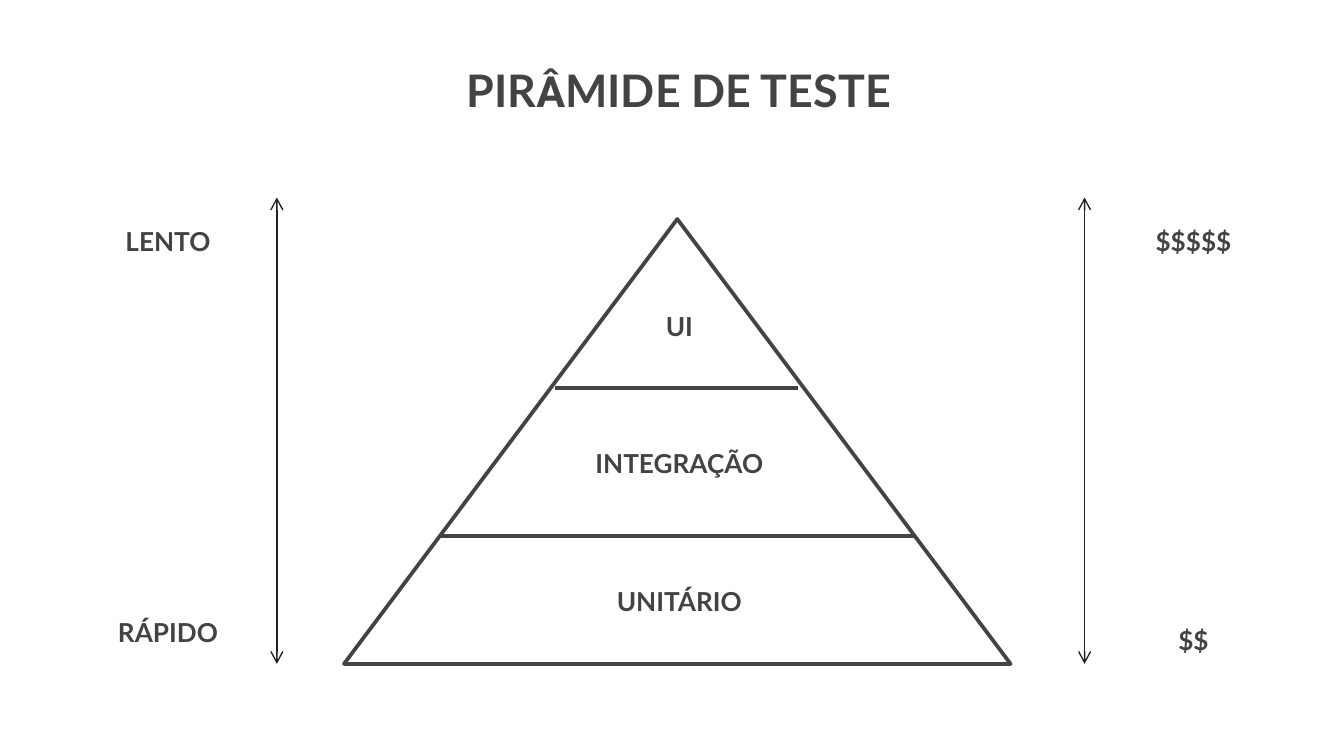
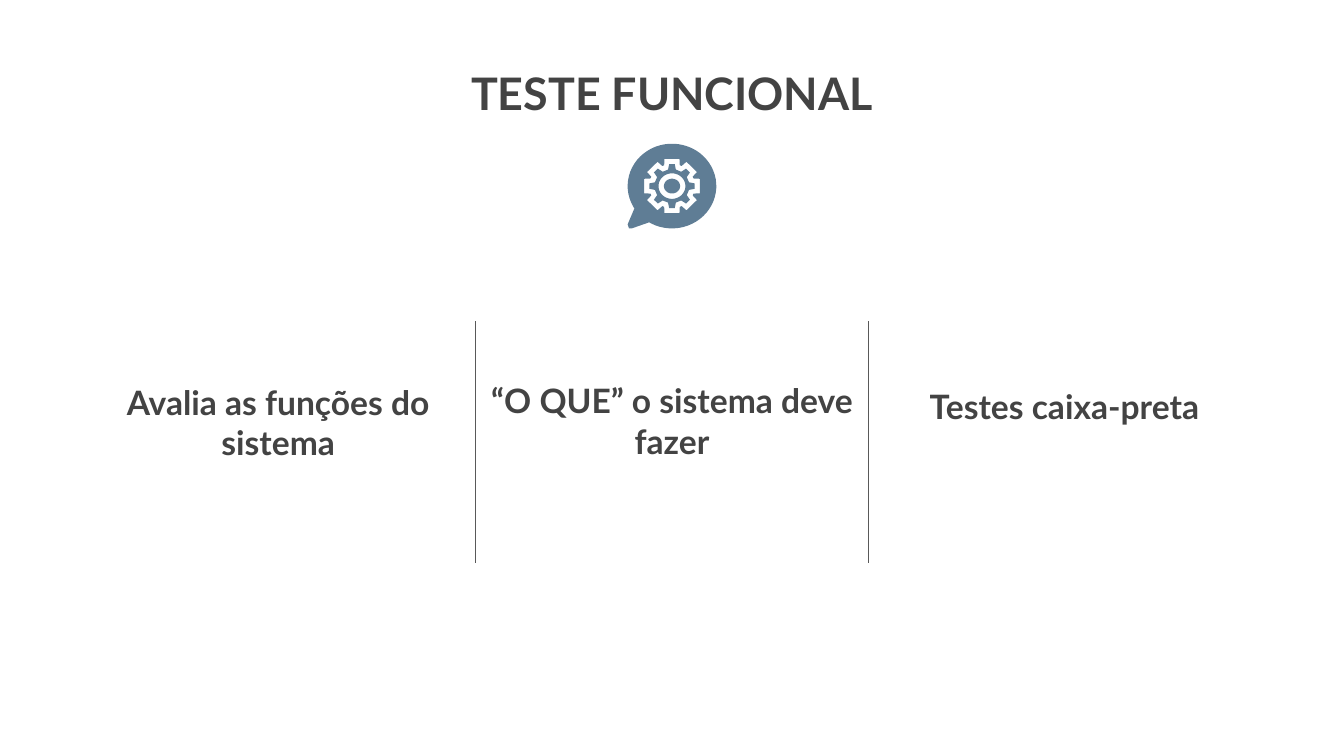
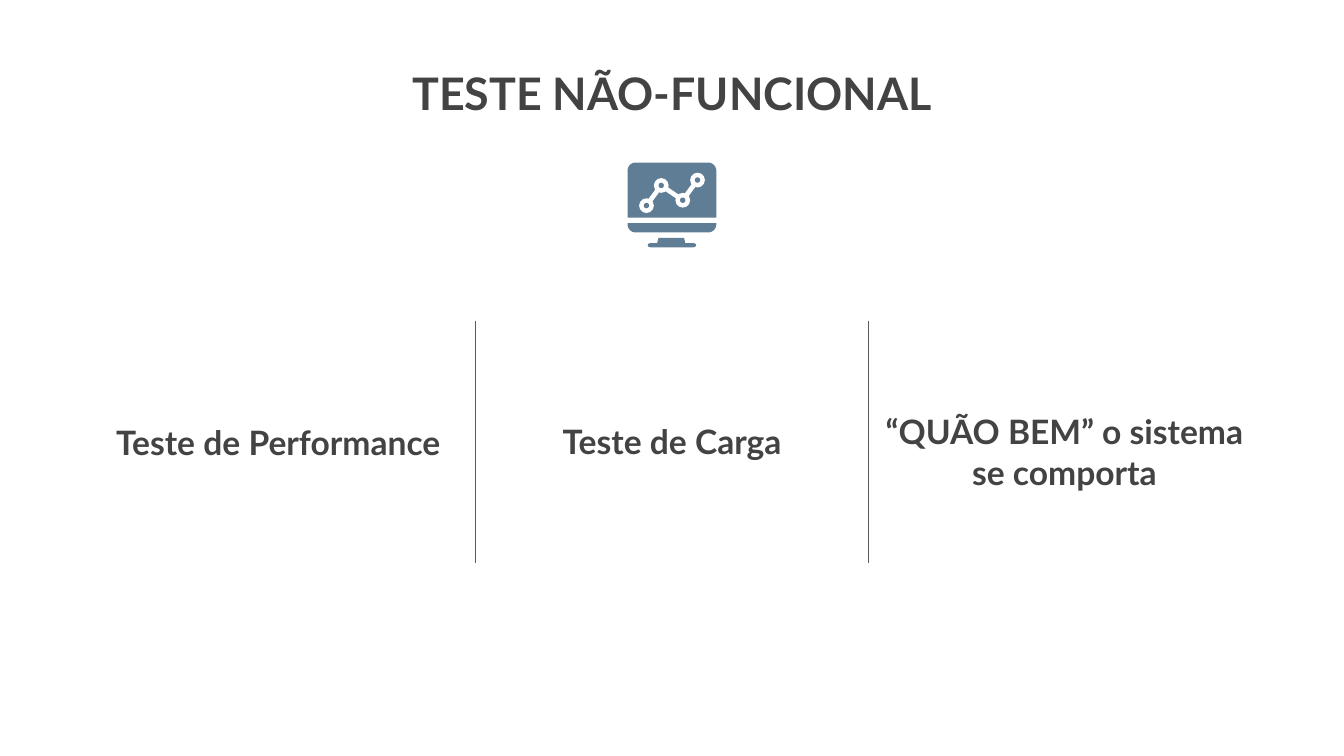
import math

import pptx
import pptx.dml.color
import pptx.enum.shapes
import pptx.enum.text
import pptx.oxml.ns
import pptx.util
from lxml import etree

Inches = pptx.util.Inches
Pt = pptx.util.Pt
ANCHOR = pptx.enum.text.MSO_ANCHOR
AUTO_SIZE = pptx.enum.text.MSO_AUTO_SIZE
SHAPE = pptx.enum.shapes.MSO_SHAPE

COLORS = {
    "text": "434343",
    "arrow": "212121",
    "divider": "595959",
    "icon": "5F7D95",
    "white": "FFFFFF",
}
FONT = "Lato"
TITLE_SIZE = 24
COLUMN_LEFTS = (0.61, 3.54, 6.46)
COLUMN_WIDTH = 2.92
ICON_CENTER_X = 5
GEAR_CENTER_Y = 1.385


def color(name):
    return pptx.dml.color.RGBColor.from_string(COLORS[name])


def style_font(font, size, name=FONT):
    font.name = name
    font.size = Pt(size)
    font.bold = True
    font.color.rgb = color("text")


def add_drawing_element(parent, tag, **attributes):
    return etree.SubElement(parent, pptx.oxml.ns.qn(tag), attributes)


def place(shape, left, top, width, height):
    shape.left, shape.top = Inches(left), Inches(top)
    shape.width, shape.height = Inches(width), Inches(height)


def format_frame(frame, anchor, auto_size, vertical_margin):
    frame.word_wrap = True
    frame.auto_size = auto_size
    frame.vertical_anchor = anchor
    frame.margin_left = frame.margin_right = Inches(0.1)
    frame.margin_top = frame.margin_bottom = Inches(vertical_margin)
    paragraph = frame.paragraphs[0]
    paragraph.alignment = pptx.enum.text.PP_ALIGN.CENTER
    return paragraph


def add_titled_slide(presentation, runs, left=2.15, top=0.39):
    """Add a slide whose title is made of (text, font name, size) runs."""
    slide = presentation.slides.add_slide(presentation.slide_layouts[5])
    title = slide.shapes.title
    place(title, left, top, 5.7, 1.03)
    paragraph = format_frame(title.text_frame, ANCHOR.TOP, AUTO_SIZE.NONE, 0.1)
    for text, name, size in runs:
        run = paragraph.add_run()
        run.text = text
        style_font(run.font, size, name)
    return slide


def add_text(slide, text, left, top, width, height, size, anchor, auto_size, margin):
    box = slide.shapes.add_textbox(
        Inches(left), Inches(top), Inches(width), Inches(height))
    paragraph = format_frame(box.text_frame, anchor, auto_size, margin)
    paragraph.text = text
    style_font(paragraph.font, size)


def add_label(slide, text, left, top, width):
    add_text(slide, text, left, top, width, 0.34, 14,
             ANCHOR.TOP, AUTO_SIZE.SHAPE_TO_FIT_TEXT, 0.05)


def add_line(slide, start, end, color_name, width, arrows=False):
    line = slide.shapes.add_connector(
        pptx.enum.shapes.MSO_CONNECTOR.STRAIGHT,
        *(Inches(value) for value in (*start, *end)))
    line.line.color.rgb = color(color_name)
    line.line.width = Pt(width)
    if arrows:
        for tag in ("a:headEnd", "a:tailEnd"):
            add_drawing_element(line.line._get_or_add_ln(), tag, type="arrow")
    add_drawing_element(line._element.spPr, "a:effectLst")


def fill_plain(shape, color_name):
    shape.shadow.inherit = False
    shape.fill.solid()
    shape.fill.fore_color.rgb = color(color_name)
    shape.line.fill.background()


def add_disc(slide, center, radius, color_name):
    x, y = center
    disc = slide.shapes.add_shape(
        SHAPE.OVAL, Inches(x - radius), Inches(y - radius),
        Inches(2 * radius), Inches(2 * radius))
    fill_plain(disc, color_name)


def arc(center_x, center_y, radius_x, radius_y, start=0, end=360):
    """Points along an elliptical arc, angles in degrees clockwise from the right."""
    steps = max(6, round((end - start) / 6))
    angles = [math.radians(start + (end - start) * step / steps)
              for step in range(steps + 1)]
    return [(center_x + radius_x * math.cos(angle), center_y + radius_y * math.sin(angle))
            for angle in angles]


def gear(tip_radius, root_radius, tip_angle, root_angle):
    """Points of an eight-toothed gear; the angles are half tooth widths."""
    points = []
    for tooth in range(0, 360, 45):
        for radius, offset in ((root_radius, -root_angle), (tip_radius, -tip_angle),
                               (tip_radius, tip_angle), (root_radius, root_angle)):
            angle = math.radians(tooth + offset)
            points.append((ICON_CENTER_X + radius * math.cos(angle),
                           GEAR_CENTER_Y + 0.97 * radius * math.sin(angle)))
    return points


def add_outline(slide, *contours):
    """Draw the first contour as a filled outline, later ones as holes in it."""
    builder = None
    for contour in contours:
        first, *others = [(Inches(x), Inches(y)) for x, y in contour]
        if builder is None:
            builder = slide.shapes.build_freeform(*first)
        else:
            builder.move_to(*first)
        builder.add_line_segments(others, close=True)
    fill_plain(builder.convert_to_shape(), "icon")


def add_gear_bubble(slide):
    tail = [(4.67, 1.67), (4.68, 1.7), (4.7, 1.7)]
    bubble = arc(ICON_CENTER_X, GEAR_CENTER_Y, 0.33, 0.315, 121 - 360, 148)
    add_outline(slide, gear(0.17, 0.13, 7, 13),
                arc(ICON_CENTER_X, GEAR_CENTER_Y, 0.1, 0.095))
    add_outline(slide, bubble + tail, gear(0.215, 0.17, 15, 20))
    add_outline(slide, arc(ICON_CENTER_X, GEAR_CENTER_Y, 0.06, 0.055))


def add_chart_monitor(slide):
    left, right, radius = 4.67, 5.33, 0.06
    corner_left, corner_right = left + radius, right - radius
    add_outline(slide, arc(corner_left, 1.27, radius, radius, 180, 270)
                + arc(corner_right, 1.27, radius, radius, 270, 360)
                + [(right, 1.62), (left, 1.62)])
    add_outline(slide, [(left, 1.66), (right, 1.66)]
                + arc(corner_right, 1.67, radius, radius, 0, 90)
                + arc(corner_left, 1.67, radius, radius, 90, 180))
    add_outline(slide, [(4.9, 1.77), (5.09, 1.77), (5.1, 1.81)]
                + arc(5.16, 1.825, 0.02, 0.015, -90, 90)
                + arc(4.84, 1.825, 0.02, 0.015, 90, 270) + [(4.89, 1.81)])
    nodes = [(4.81, 1.53), (4.92, 1.38), (5.08, 1.49), (5.19, 1.34)]
    for start, end in zip(nodes, nodes[1:]):
        add_line(slide, start, end, "white", 2.5)
    for node in nodes:
        add_disc(slide, node, 0.055, "white")
        add_disc(slide, node, 0.02, "icon")


def add_pyramid(slide):
    triangle = slide.shapes.add_shape(
        SHAPE.ISOSCELES_TRIANGLE, Inches(2.56), Inches(1.63), Inches(4.96), Inches(3.31))
    triangle.shadow.inherit = False
    triangle.fill.background()
    triangle.line.color.rgb = color("text")
    triangle.line.width = Pt(2)
    add_drawing_element(triangle.line._get_or_add_ln(), "a:round")
    for left, right, y in ((4.13, 5.94, 2.89), (3.27, 6.81, 3.99)):
        add_line(slide, (left, y), (right, y), "text", 2)
    for text, top in (("UI", 2.26), ("INTEGRAÇÃO", 3.28), ("UNITÁRIO", 4.31)):
        add_label(slide, text, 3.4, top, 3.31)


def add_scale(slide, arrow_x, label_left, top_label, bottom_label, bottom_label_top):
    add_line(slide, (arrow_x, 1.47), (arrow_x, 4.94), "arrow", 0.75, arrows=True)
    add_label(slide, top_label, label_left, 1.63, 1.62)
    add_label(slide, bottom_label, label_left, bottom_label_top, 1.62)


def add_columns(slide, columns):
    """Add three (text, top) statements with dividers between them."""
    for left, (text, top) in zip(COLUMN_LEFTS, columns):
        add_text(slide, text, left, top, COLUMN_WIDTH, 0.47, 18,
                 ANCHOR.BOTTOM, AUTO_SIZE.NONE, 0.1)
    for x in COLUMN_LEFTS[1:]:
        add_line(slide, (x, 2.39), (x, 4.19), "divider", 0.75)


def main():
    presentation = pptx.Presentation()
    presentation.slide_width = Inches(10)
    presentation.slide_height = Inches(5.625)

    slide = add_titled_slide(
        presentation,
        [("PIR", FONT, TITLE_SIZE), ("Â", "Roboto", 23), ("MIDE DE TESTE", FONT, TITLE_SIZE)],
        left=2.2, top=0.37)
    add_pyramid(slide)
    add_scale(slide, 2.06, 0.44, "LENTO", "RÁPIDO", 4.54)
    add_scale(slide, 8.07, 8.07, "$$$$$", "$$", 4.6)

    slide = add_titled_slide(presentation, [("TESTE FUNCIONAL", FONT, TITLE_SIZE)])
    add_columns(slide, [("Avalia as funções do sistema", 3.07),
                        ("“O QUE” o sistema deve fazer", 3.06),
                        ("Testes caixa-preta", 2.8)])
    add_gear_bubble(slide)

    slide = add_titled_slide(presentation, [("TESTE NÃO-FUNCIONAL", FONT, TITLE_SIZE)])
    add_columns(slide, [("Teste de Performance", 3.07),
                        ("Teste de Carga", 3.06),
                        ("“QUÃO BEM” o sistema se comporta", 3.29)])
    add_chart_monitor(slide)

    presentation.save("out.pptx")


if __name__ == "__main__":
    main()
